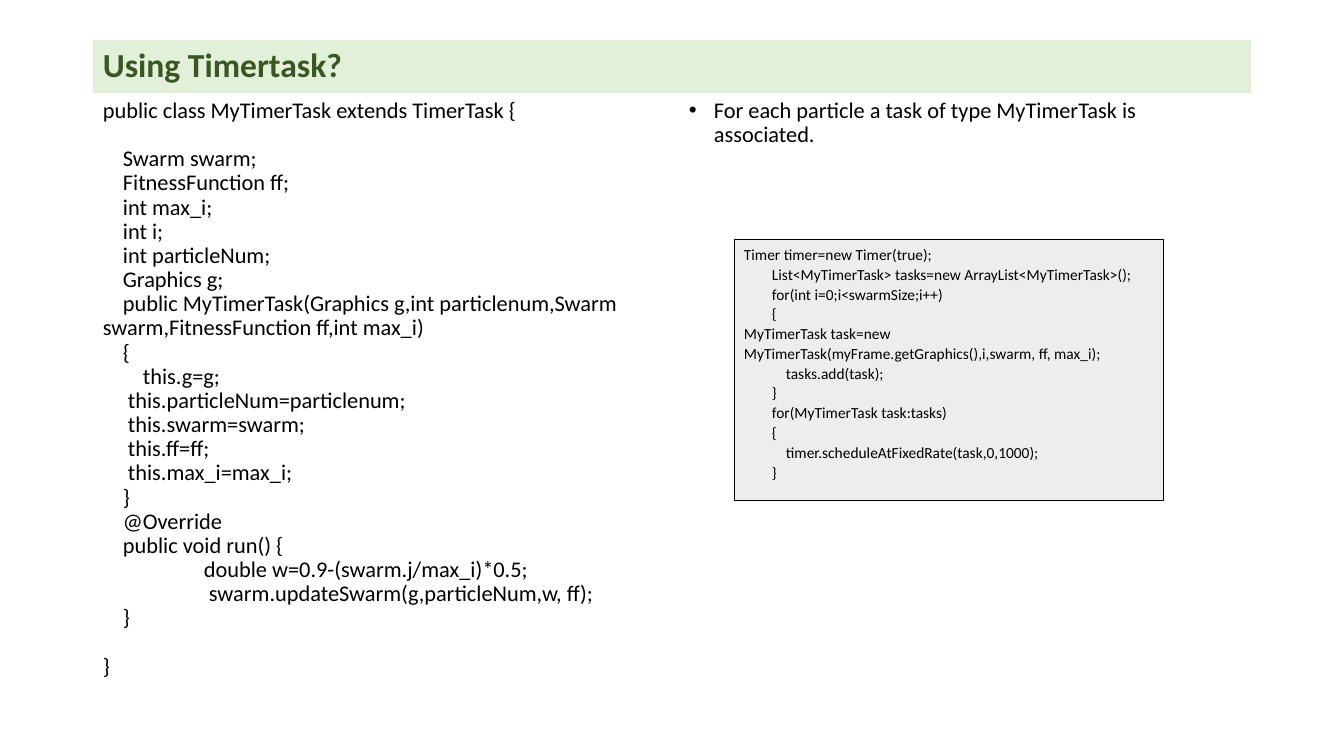
"""Build the slide that explains scheduling particles with a TimerTask."""
from lxml import etree
from pptx import Presentation, util as u
from pptx.dml.color import RGBColor
from pptx.enum import shapes, text
from pptx.oxml.ns import qn

TITLE = "Using Timertask?"
# Each code line is (first-line indent in px, text).
CLASS_CODE = [
    (0, "public class MyTimerTask extends TimerTask {"),
    (20, "Swarm swarm;"),
    (20, "FitnessFunction ff;"),
    (20, "int max_i;"),
    (20, "int i;"),
    (20, "int particleNum;"),
    (20, "Graphics g;"),
    (20, "public MyTimerTask(Graphics g,int particlenum,Swarm swarm,FitnessFunction ff,int max_i)"),
    (20, "{"),
    (40, "this.g=g;"),
    (25, "this.particleNum=particlenum;"),
    (25, "this.swarm=swarm;"),
    (25, "this.ff=ff;"),
    (25, "this.max_i=max_i;"),
    (20, "}"),
    (20, "@Override"),
    (20, "public void run() {"),
    (101, "double w=0.9-(swarm.j/max_i)*0.5;"),
    (106, "swarm.updateSwarm(g,particleNum,w, ff);"),
    (20, "}"),
    (0, "}"),
]
GAP_BEFORE = {1, len(CLASS_CODE) - 1}
NOTE = "For each particle a task of type MyTimerTask is associated."
TIMER_CODE = [
    (0, "Timer timer=new Timer(true);"),
    (28, "List<MyTimerTask> tasks=new ArrayList<MyTimerTask>();"),
    (28, "for(int i=0;i<swarmSize;i++)"),
    (28, "{"),
    (0, "MyTimerTask task=new MyTimerTask(myFrame.getGraphics(),i,swarm, ff, max_i);"),
    (42, "tasks.add(task);"),
    (28, "}"),
    (28, "for(MyTimerTask task:tasks)"),
    (28, "{"),
    (42, "timer.scheduleAtFixedRate(task,0,1000);"),
    (28, "}"),
]

FONT = "Calibri"
BLACK = RGBColor(0x00, 0x00, 0x00)
DARK_GREEN = RGBColor(0x38, 0x57, 0x23)
PALE_GREEN = RGBColor(0xE2, 0xF0, 0xD9)
PALE_GREY = RGBColor(0xED, 0xED, 0xED)

WIDTH, HEIGHT = 1344, 756
LEFT, TOP = 93, 40
BAND_W, BAND_H = WIDTH - 2 * LEFT, 53
COLUMN_TOP, COLUMN_W, COLUMN_H = TOP + BAND_H + 1, 572, 588
BULLET_INDENT = 25
TIMER_BOX = (734, 239, 429, 261)


def px(length):
    return u.Emu(round(length * u.Inches(13.3333333) / WIDTH))


def add_line(frame, words, size, spacing, color=BLACK, bold=False, indent=0, margin=0, before=0):
    first = frame.paragraphs[0]
    line = frame.add_paragraph() if first.runs else first
    line.alignment = text.PP_ALIGN.LEFT
    line.line_spacing = spacing
    line.space_before = u.Pt(before)
    properties = line._p.get_or_add_pPr()
    properties.set("marL", str(px(margin)))
    properties.set("indent", str(px(indent)))
    run = line.add_run()
    run.text = words
    run.font.name, run.font.size, run.font.bold = FONT, u.Pt(size), bold
    run.font.color.rgb = color
    return line


def add_panel(slide, box, fill):
    panel = slide.shapes.add_shape(shapes.MSO_SHAPE.RECTANGLE, *map(px, box))
    panel.shadow.inherit = False
    panel.fill.solid()
    panel.fill.fore_color.rgb = fill
    panel.line.fill.background()
    panel.text_frame.word_wrap = True
    return panel


def add_column(slide, left):
    column = slide.shapes.add_textbox(px(left), px(COLUMN_TOP), px(COLUMN_W), px(COLUMN_H))
    column.text_frame.word_wrap = True
    return column.text_frame


def main():
    deck = Presentation()
    deck.slide_width, deck.slide_height = px(WIDTH), px(HEIGHT)
    slide = deck.slides.add_slide(deck.slide_layouts[6])

    title = add_panel(slide, (LEFT, TOP, BAND_W, BAND_H), PALE_GREEN).text_frame
    title.vertical_anchor = text.MSO_ANCHOR.MIDDLE
    add_line(title, TITLE, 24, 0.9, DARK_GREEN, bold=True)

    class_code = add_column(slide, LEFT)
    for number, (indent, words) in enumerate(CLASS_CODE):
        gap = 17.3 if number in GAP_BEFORE else 0
        add_line(class_code, words, 16, 0.9, indent=indent, before=gap)

    note = add_line(add_column(slide, LEFT + BAND_W - COLUMN_W), NOTE, 16, 0.9,
                    indent=-BULLET_INDENT, margin=BULLET_INDENT, before=10)
    properties = note._p.get_or_add_pPr()
    etree.SubElement(properties, qn("a:buFont")).set("typeface", "Arial")
    etree.SubElement(properties, qn("a:buChar")).set("char", "•")

    timer = add_panel(slide, TIMER_BOX, PALE_GREY)
    timer.line.color.rgb = BLACK
    timer.line.width = u.Pt(0.5)
    timer.text_frame.vertical_anchor = text.MSO_ANCHOR.TOP
    for indent, words in TIMER_CODE:
        add_line(timer.text_frame, words, 11, 1.07, indent=indent)

    deck.save("out.pptx")


if __name__ == "__main__":
    main()
